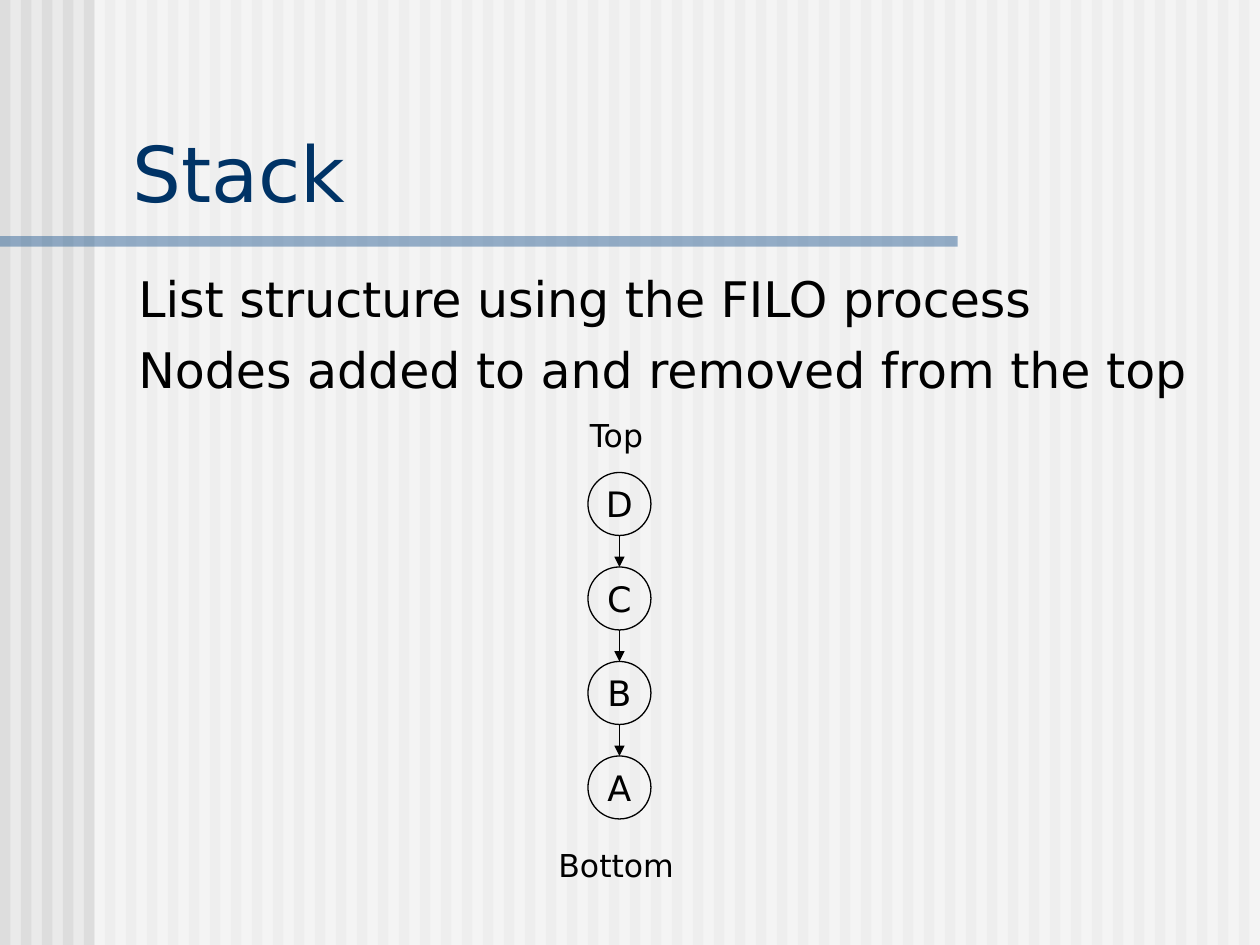
"""Build the slide that explains a stack as a chain of nodes."""
import pptx
import pptx.dml.color
import pptx.enum.shapes
import pptx.enum.text
import pptx.oxml.ns
import pptx.util
import lxml.etree

deck = pptx.Presentation()
deck.slide_width = pptx.util.Inches(10)
deck.slide_height = pptx.util.Inches(7.5)
column = deck.slide_width // 60
row = deck.slide_height // 30
page = deck.slides.add_slide(deck.slide_layouts[5])
shapes = page.shapes
preset = pptx.enum.shapes.MSO_SHAPE
anchor = pptx.enum.text.MSO_ANCHOR
align = pptx.enum.text.PP_ALIGN
qualified = pptx.oxml.ns.qn


def color(value):
    return pptx.dml.color.RGBColor.from_string(value)


def write(box, lines, size, ink="000000", side=align.LEFT, place=anchor.TOP, wrap=True, gap=0):
    frame = box.text_frame
    frame.word_wrap = wrap
    frame.auto_size = pptx.enum.text.MSO_AUTO_SIZE.NONE
    frame.vertical_anchor = place
    for index, line in enumerate(lines):
        para = frame.add_paragraph() if index else frame.paragraphs[0]
        para.alignment = side
        para.space_before = pptx.util.Pt(gap if index else 0)
        span = para.add_run()
        span.text = line
        span.font.name = "DejaVu Sans"
        span.font.size = pptx.util.Pt(size)
        span.font.color.rgb = color(ink)
    return frame.paragraphs


page.background.fill.solid()
page.background.fill.fore_color.rgb = color("EAEAEA")

stripes = [(index, 0, 0.5, 30, "DDDDDD", 100) for index in range(60)]
veil = (4.5, 0, 55.5, 30, "FFFFFF", 50)
underline = (0, 7.5, 45.6, 0.33, "336699", 50)
for left, top, width, height, tint, opacity in stripes + [veil, underline]:
    band = shapes.add_shape(preset.RECTANGLE, int(left * column), int(top * row),
                            int(width * column), int(height * row))
    band.shadow.inherit = False
    band.line.fill.background()
    band.fill.solid()
    band.fill.fore_color.rgb = color(tint)
    if opacity < 100:
        shade = band._element.spPr.find(".//" + qualified("a:srgbClr"))
        lxml.etree.SubElement(shade, qualified("a:alpha"), val=str(opacity * 1000))

title = shapes.title
title.left, title.top = int(5.7 * column), int(0.84 * row)
title.width, title.height = int(53.6 * column), int(6.28 * row)
shapes._spTree.append(title._element)
write(title, ["Stack"], 44, ink="003366", place=anchor.BOTTOM)

body = shapes.add_textbox(6 * column, int(8.33 * row), int(53.2 * column), int(18.3 * row))
points = ["List structure using the FILO process", "Nodes added to and removed from the top"]
for para in write(body, points, 28, gap=7):
    layout = para._p.get_or_add_pPr()
    layout.set("marL", str(pptx.util.Inches(0.38)))
    layout.set("indent", str(pptx.util.Inches(-0.38)))

for label, left, top, width in [("Top", 27.5, 13, 4), ("Bottom", 26, 26.67, 7)]:
    box = shapes.add_textbox(int(left * column), int(top * row), width * column, int(1.6 * row))
    write(box, [label], 18)

nodes = []
for index, name in enumerate("DCBA"):
    node = shapes.add_shape(preset.OVAL, 28 * column, (15 + 3 * index) * row, 3 * column, 2 * row)
    node.shadow.inherit = False
    node.fill.background()
    node.line.color.rgb = color("000000")
    node.line.width = pptx.util.Pt(0.75)
    write(node, [name], 20, side=align.CENTER, place=anchor.MIDDLE, wrap=False)
    nodes.append(node)

for upper, lower in zip(nodes, nodes[1:]):
    center = upper.left + upper.width // 2
    arrow = shapes.add_connector(pptx.enum.shapes.MSO_CONNECTOR.STRAIGHT,
                                 center, upper.top + upper.height, center, lower.top)
    arrow.line.color.rgb = color("000000")
    arrow.line.width = pptx.util.Pt(0.75)
    outline = arrow._element.spPr.find(qualified("a:ln"))
    lxml.etree.SubElement(outline, qualified("a:tailEnd"), type="triangle")
    lxml.etree.SubElement(arrow._element.spPr, qualified("a:effectLst"))

deck.save("out.pptx")
